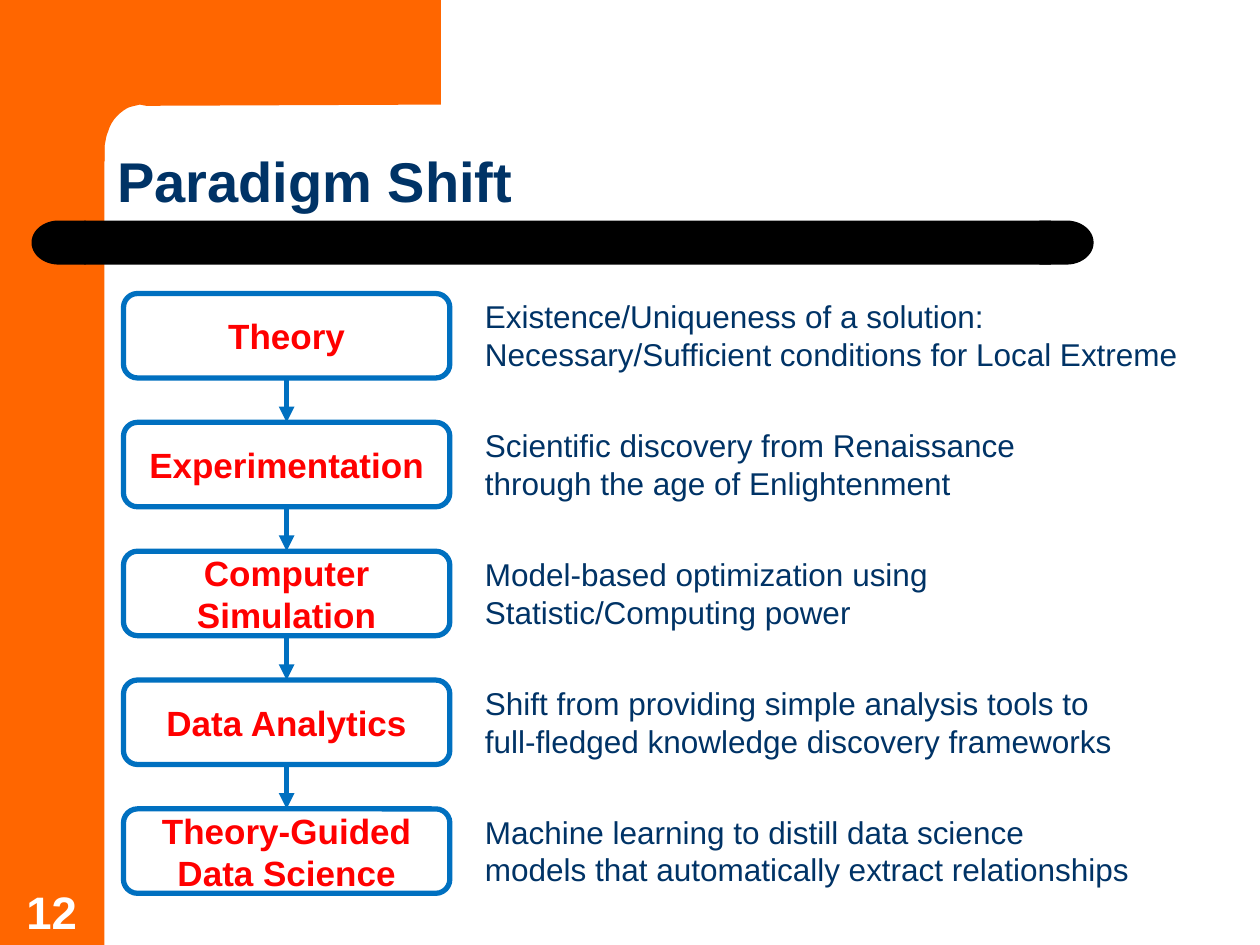
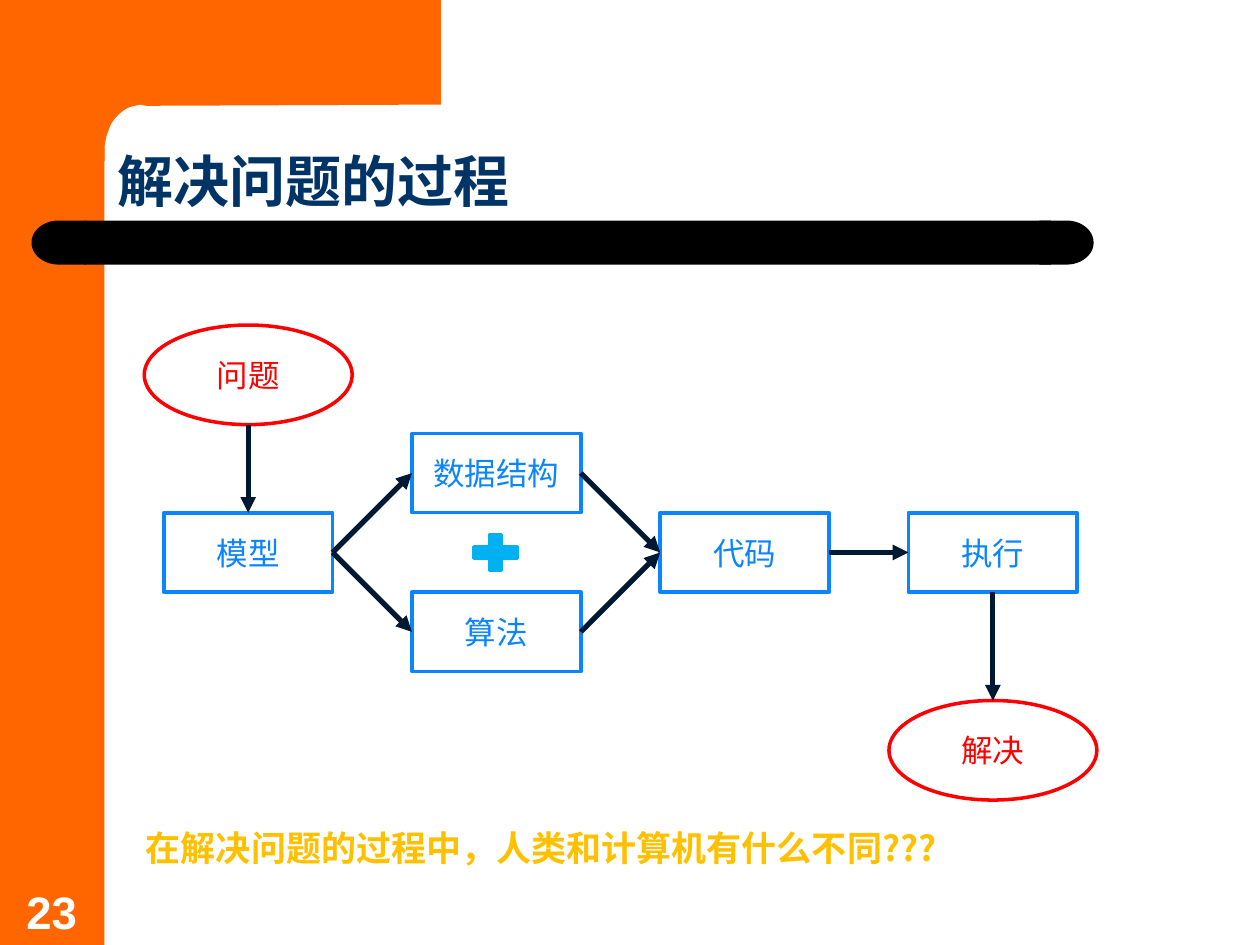
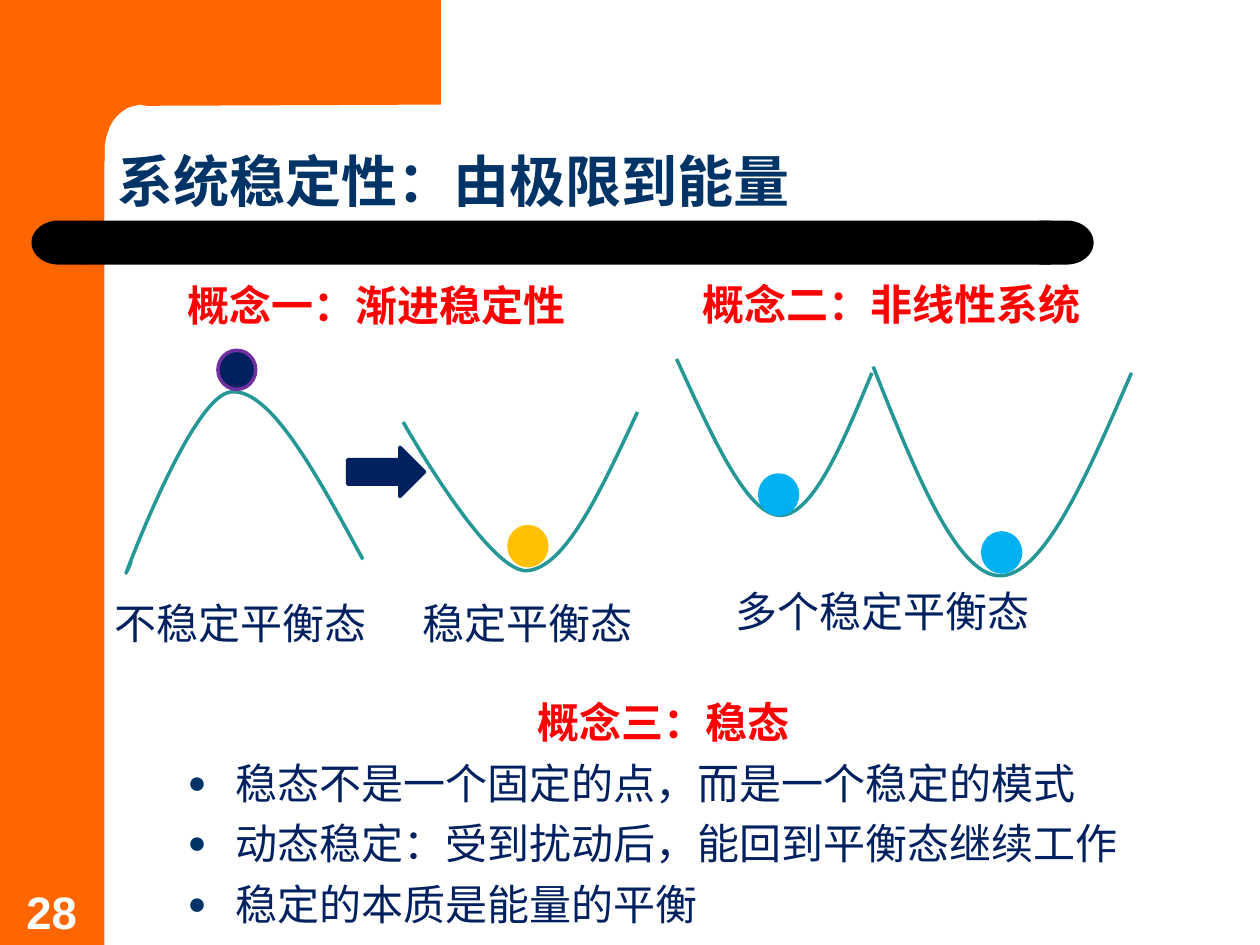
"""Build three slides on paradigm shift, problem solving and system stability."""
from lxml.etree import SubElement
from pptx import Presentation
from pptx.dml.color import RGBColor
from pptx.enum.shapes import MSO_CONNECTOR, MSO_SHAPE as SHAPE
from pptx.enum.text import MSO_ANCHOR as ANCHOR, MSO_AUTO_SIZE, PP_ALIGN as ALIGN
from pptx.oxml.ns import qn
from pptx.util import Inches, Pt

COLORS = {
    "orange": "FF6600", "black": "000000", "white": "FFFFFF", "title": "003366",
    "stage": "0070C0", "red": "FF0000", "step": "0A85FF", "arrow": "001933",
    "sky": "00B0F0", "gold": "FFC000", "navy": "002060", "purple": "7030A0",
    "curve": "269797",
}
LATIN, CHINESE = "Arial", "Noto Sans CJK SC"
TOP, LEFT, BOTTOM, RIGHT = range(4)

CORNER = [
    (3.5, 0), (3.5, 0.83), (1.16, 0.84), (1.11, 0.83), (1.03, 0.85),
    (1, 0.86, 0.96, 0.89, 0.93, 0.92), (0.9, 0.95, 0.87, 1, 0.86, 1.04),
    (0.84, 1.08, 0.84, 1.12, 0.83, 1.16), (0.83, 1.28), (0.5, 1.28), (0.5, 0.83),
    (0.5, 0), (3.5, 0),
]

STAGES = [
    ("Theory", 5.75, ["Existence/Uniqueness of a solution:",
                      "Necessary/Sufficient conditions for Local Extreme"]),
    ("Experimentation", 4.56,
     ["Scientific discovery from Renaissance through the age of Enlightenment"]),
    ("Computer Simulation", 3.93,
     ["Model-based optimization using Statistic/Computing power"]),
    ("Data Analytics", 5.19,
     ["Shift from providing simple analysis tools to full-fledged knowledge discovery frameworks"]),
    ("Theory-Guided Data Science", 5.34,
     ["Machine learning to distill data science models that automatically extract relationships"]),
]

STEPS = {"模型": (0, 1), "数据结构": (1, 0), "算法": (1, 2), "代码": (2, 1), "执行": (3, 1)}
ENDPOINTS = {"问题": (0, 2.58), "解决": (3, 5.56)}
FLOWS = [
    ("问题", BOTTOM, "模型", TOP), ("模型", RIGHT, "数据结构", LEFT),
    ("模型", RIGHT, "算法", LEFT), ("数据结构", RIGHT, "代码", LEFT),
    ("算法", RIGHT, "代码", LEFT), ("代码", RIGHT, "执行", LEFT),
    ("执行", BOTTOM, "解决", TOP),
]
QUESTION = "在解决问题的过程中，人类和计算机有什么不同???"

VALLEYS = [
    [(5.06, 3.27), (4.77, 3.89, 4.49, 4.51, 4.18, 4.53), (3.87, 4.54, 3.2, 3.35, 3.2, 3.35),
     (3.2, 3.35)],
    [(2.88, 4.44), (2.51, 3.76, 2.15, 3.09, 1.84, 3.11), (1.53, 3.12, 1, 4.55, 1, 4.55),
     (1, 4.55), (1.01, 4.53, 1.04, 4.47, 1.04, 4.45), (1.05, 4.44, 1.04, 4.46, 1.03, 4.47)],
    [(6.93, 2.91), (7.26, 3.74, 7.59, 4.56, 7.93, 4.57), (8.28, 4.58, 8.63, 3.77, 8.98, 2.96)],
    [(5.37, 2.85), (5.65, 3.46, 5.92, 4.07, 6.18, 4.09), (6.44, 4.11, 6.68, 3.54, 6.92, 2.96)],
]
BALLS = [(1.73, 2.78, "navy", "purple"), (4.04, 4.18, "gold", "gold"),
         (7.8, 4.23, "sky", "sky"), (6.03, 3.77, "sky", "sky")]
CONCEPTS = [("概念一：渐进稳定性", (1.39, 2.17, 3.29, 0.5)),
            ("概念二：非线性系统", (5.48, 2.16, 3.23, 0.5))]
STATES = [("不稳定平衡态", (0.69, 4.61, 2.44, 0.59), 1.2),
          ("稳定平衡态", (3.19, 4.61, 1.99, 0.52), 1.2),
          ("多个稳定平衡态", (5.68, 4.6, 2.65, 0.5), 1.0)]
STEADY = ["概念三：稳态", "稳态不是一个固定的点，而是一个稳定的模式",
          "动态稳定：受到扰动后，能回到平衡态继续工作", "稳定的本质是能量的平衡"]


def rgb(name):
    return RGBColor.from_string(COLORS[name])


def inches(box):
    return [Inches(length) for length in box]


def write(frame, lines, size, color, font=LATIN, bold=False, align=ALIGN.LEFT,
          anchor=ANCHOR.TOP, spacing=None):
    frame.text = "\n".join(lines)
    frame.word_wrap = True
    frame.auto_size = MSO_AUTO_SIZE.NONE
    frame.vertical_anchor = anchor
    for paragraph in frame.paragraphs:
        paragraph.alignment = align
        paragraph.line_spacing = spacing
        for run in paragraph.runs:
            run.font.size, run.font.bold, run.font.name = Pt(size), bold, font
            run.font.color.rgb = rgb(color)
            SubElement(run.font._element, qn("a:ea"), typeface=font)


def add_text(slide, box, lines, size, color, **style):
    frame = slide.shapes.add_textbox(*inches(box)).text_frame
    write(frame, lines, size, color, **style)
    return frame


def paint(shape, fill=None, line=None, width=2):
    shape.shadow.inherit = False
    if fill:
        shape.fill.solid()
        shape.fill.fore_color.rgb = rgb(fill)
    else:
        shape.fill.background()
    if line:
        shape.line.color.rgb = rgb(line)
        shape.line.width = Pt(width)
    else:
        shape.line.fill.background()
    return shape


def add_shape(slide, kind, box, fill, line=None, width=2):
    return paint(slide.shapes.add_shape(kind, *inches(box)), fill, line, width)


def add_outline(slide, parts, closed, **look):
    """Draw points as lines and six-number parts as cubic curves."""
    start, *rest = [inches(part[-2:]) for part in parts]
    builder = slide.shapes.build_freeform(*start)
    builder.add_line_segments(rest, close=closed)
    shape = builder.convert_to_shape()
    segments = list(shape._element.spPr.iter(qn("a:lnTo")))
    for segment, part in zip(segments, parts[1:]):
        if len(part) == 6:
            segment.tag = qn("a:cubicBezTo")
            segment.remove(segment[0])
            for x, y in zip(part[::2], part[1::2]):
                SubElement(segment, qn("a:pt"), x=str(Inches(x) - shape.left),
                           y=str(Inches(y) - shape.top))
    return paint(shape, **look)


def side_point(shape, side):
    across, down = {TOP: (1, 0), LEFT: (0, 1), BOTTOM: (1, 2), RIGHT: (2, 1)}[side]
    return shape.left + shape.width * across // 2, shape.top + shape.height * down // 2


def add_arrow(slide, source, source_side, target, target_side, color):
    arrow = slide.shapes.add_connector(
        MSO_CONNECTOR.STRAIGHT, *side_point(source, source_side), *side_point(target, target_side))
    if source.auto_shape_type != SHAPE.OVAL:
        arrow.begin_connect(source, source_side)
    arrow.end_connect(target, target_side)
    arrow.line.color.rgb = rgb(color)
    arrow.line.width = Pt(3)
    properties = arrow._element.spPr
    SubElement(properties.find(qn("a:ln")), qn("a:tailEnd"), type="triangle")
    SubElement(properties, qn("a:effectLst"))


def add_bullet(paragraph):
    properties = paragraph._p.get_or_add_pPr()
    properties.set("marL", str(Inches(0.38)))
    properties.set("indent", str(-Inches(0.38)))
    color = SubElement(properties, qn("a:buClr"))
    SubElement(color, qn("a:srgbClr"), val=COLORS["title"])
    SubElement(properties, qn("a:buSzPct"), val="75000")
    SubElement(properties, qn("a:buFont"), typeface=LATIN)
    SubElement(properties, qn("a:buChar"), char="●")


def decorate(layout, slide):
    """Draw the band and bar, then hand them to the layout."""
    left_cap = add_shape(slide, SHAPE.FLOWCHART_DELAY, (0.25, 1.75, 0.43, 0.35), "black")
    left_cap.rotation = 180
    bar = add_shape(slide, SHAPE.ROUNDED_RECTANGLE, (0.67, 1.75, 7.67, 0.35), "black")
    bar.adjustments[0] = 0
    parts = [
        add_shape(slide, SHAPE.RECTANGLE, (0, 0, 0.83, 7.5), "orange"),
        add_outline(slide, CORNER, True, fill="orange"),
        bar,
        left_cap,
        add_shape(slide, SHAPE.FLOWCHART_DELAY, (8.25, 1.75, 0.43, 0.35), "black"),
    ]
    layout_title = layout.placeholders[0].element
    for number, part in enumerate(parts, start=20):
        part.element.nvSpPr.cNvPr.id = number
        layout_title.addprevious(part.element)


def round_corners(title):
    geometry = SubElement(title._element.spPr, qn("a:prstGeom"), prst="roundRect")
    guides = SubElement(geometry, qn("a:avLst"))
    SubElement(guides, qn("a:gd"), name="adj", fmla="val 21700")


def start_slide(deck, heading, number, font=CHINESE, width=8.73):
    layout = deck.slide_layouts[5]
    slide = deck.slides.add_slide(layout)
    if len(deck.slides) == 1:
        decorate(layout, slide)
    title = slide.shapes.title
    title.left, title.top, title.width, title.height = inches((0.83, 0.83, width, 0.92))
    round_corners(title)
    write(title.text_frame, [heading], 32, "title", font=font, bold=True,
          anchor=ANCHOR.BOTTOM, spacing=0.9)
    add_text(slide, (0.09, 6.97, 0.64, 0.53), [number], 26, "white", bold=True,
             align=ALIGN.CENTER, anchor=ANCHOR.BOTTOM)
    return slide


def build_paradigm(deck):
    slide = start_slide(deck, "Paradigm Shift", "12", LATIN, 8.67)
    first, last, height, note_height = 2.33, 6.42, 0.67, 0.71
    pitch = (last - first) / (len(STAGES) - 1)
    previous = None
    for row, (name, note_width, note) in enumerate(STAGES):
        top = first + row * pitch
        stage = add_shape(slide, SHAPE.ROUNDED_RECTANGLE, (0.98, top, 2.59, height),
                          "white", "stage", 3)
        write(stage.text_frame, [name], 20, "red", bold=True, align=ALIGN.CENTER,
              anchor=ANCHOR.MIDDLE)
        add_text(slide, (3.75, top + (height - note_height) / 2, note_width, note_height),
                 note, 18, "title")
        if previous:
            add_arrow(slide, previous, BOTTOM, stage, TOP, "stage")
        previous = stage


def build_process(deck):
    slide = start_slide(deck, "解决问题的过程", "23")
    width, height, pitch = 1.34, 0.63, 1.97
    oval_width, oval_height = 1.65, 0.79
    places = [(name, SHAPE.RECTANGLE, "step",
               (1.3 + column * pitch, 3.44 + row * height, width, height))
              for name, (column, row) in STEPS.items()]
    places += [(name, SHAPE.OVAL, "red",
                (1.3 + column * pitch + (width - oval_width) / 2, top, oval_width, oval_height))
               for name, (column, top) in ENDPOINTS.items()]
    nodes = {}
    for name, kind, color, box in places:
        nodes[name] = add_shape(slide, kind, box, "white", color)
        write(nodes[name].text_frame, [name], 18, color, font=CHINESE, align=ALIGN.CENTER,
              anchor=ANCHOR.MIDDLE)
    for source, source_side, target, target_side in FLOWS:
        add_arrow(slide, nodes[source], source_side, nodes[target], target_side, "arrow")
    add_shape(slide, SHAPE.MATH_PLUS, (3.7, 4.19, 0.47, 0.39), "sky", "sky")
    add_text(slide, (1.06, 6.51, 6.54, 0.44), [QUESTION], 20, "gold", font=CHINESE, bold=True)


def build_stability(deck):
    slide = start_slide(deck, "系统稳定性：由极限到能量", "28")
    for valley in VALLEYS:
        add_outline(slide, valley, False, line="curve")
    for left, top, fill, line in BALLS:
        add_shape(slide, SHAPE.OVAL, (left, top, 0.3, 0.31), fill, line)
    add_shape(slide, SHAPE.RIGHT_ARROW, (2.76, 3.55, 0.61, 0.39), "navy", "navy")
    for concept, box in CONCEPTS:
        add_text(slide, box, [concept], 24, "red", font=CHINESE, bold=True)
    for state, box, spacing in STATES:
        add_text(slide, box, [state], 24, "navy", font=CHINESE, align=ALIGN.CENTER,
                 spacing=spacing)
    steady = add_text(slide, (1.39, 5.4, 7.75, 2.04), STEADY, 24, "navy", font=CHINESE,
                      spacing=1.2)
    heading, *points = steady.paragraphs
    heading.alignment = ALIGN.CENTER
    heading.runs[0].font.bold = True
    heading.runs[0].font.color.rgb = rgb("red")
    for point in points:
        add_bullet(point)


def main():
    deck = Presentation()
    deck.slide_width, deck.slide_height = Inches(10), Inches(7.5)
    build_paradigm(deck)
    build_process(deck)
    build_stability(deck)
    deck.save("out.pptx")


if __name__ == "__main__":
    main()
